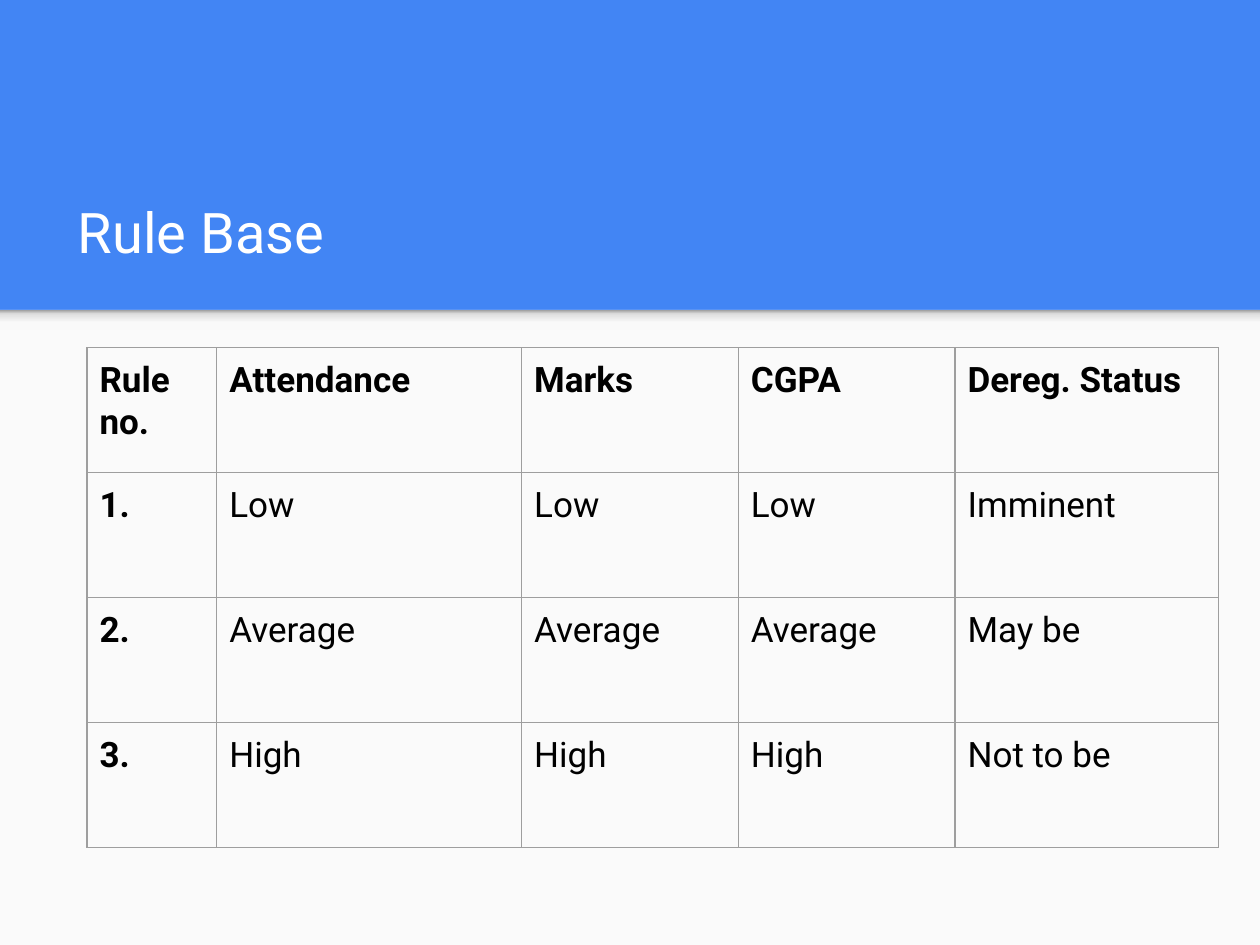
from lxml import etree
from pptx import Presentation, util as u
from pptx.dml.color import RGBColor
from pptx.enum import shapes, text
from pptx.oxml import ns

BLUE = RGBColor(0x42, 0x85, 0xF4)
PAPER = RGBColor(0xFA, 0xFA, 0xFA)
WHITE = RGBColor(0xFF, 0xFF, 0xFF)
BLACK = RGBColor(0, 0, 0)
GRID = RGBColor(0x9E, 0x9E, 0x9E)
SHADE = [
    (0, RGBColor(0x99, 0x99, 0x99)),
    (20, RGBColor(0xDE, 0xDE, 0xDE)),
    (64, RGBColor(0xF9, 0xF9, 0xF9)),
    (100, RGBColor(0xF9, 0xF9, 0xF9)),
]

COLUMNS, ROWS = 100, 75
BAND_EDGE = 24.6
RULE_WIDTHS = [10.3, 24.2, 17.2, 17.2, 20.9]
RULE_HEIGHT = 9.92
RULES = [
    ["Rule no.", "Attendance", "Marks", "CGPA", "Dereg. Status"],
    ["1.", "Low", "Low", "Low", "Imminent"],
    ["2.", "Average", "Average", "Average", "May be"],
    ["3.", "High", "High", "High", "Not to be"],
]


def add_element(parent, tag, **attributes):
    return etree.SubElement(parent, ns.qn(tag), **attributes)


class RuleSlide:
    font = "Roboto"
    inset = u.Inches(0.1)

    def __init__(self, deck):
        self.unit_x = deck.slide_width / COLUMNS
        self.unit_y = deck.slide_height / ROWS
        self.slide = deck.slides.add_slide(deck.slide_layouts[6])
        backdrop = self.slide.background.fill
        backdrop.solid()
        backdrop.fore_color.rgb = BLUE

    def box(self, column, row, width, height):
        return (round(column * self.unit_x), round(row * self.unit_y),
                round(width * self.unit_x), round(height * self.unit_y))

    def panel(self, *area):
        panel = self.slide.shapes.add_shape(shapes.MSO_SHAPE.RECTANGLE, *self.box(*area))
        panel.shadow.inherit = False
        panel.line.fill.background()
        panel.fill.solid()
        panel.fill.fore_color.rgb = PAPER
        return panel

    def shade(self, *area):
        edge = self.panel(*area)
        edge.fill.gradient()
        edge.fill.gradient_angle = 270
        stops = edge.element.spPr.find(".//" + ns.qn("a:gsLst"))
        stops.clear()
        for position, color in SHADE:
            stop = add_element(stops, "a:gs", pos=str(position * 1000))
            add_element(stop, "a:srgbClr", val=str(color))

    def style(self, paragraph, size, color, bold=False):
        paragraph.font.name = self.font
        paragraph.font.size = u.Pt(size)
        paragraph.font.bold = bold
        paragraph.font.color.rgb = color

    def pad(self, holder):
        holder.margin_left = holder.margin_right = self.inset
        holder.margin_top = holder.margin_bottom = self.inset

    def title(self, wording, *area):
        frame = self.slide.shapes.add_textbox(*self.box(*area)).text_frame
        frame.word_wrap = True
        frame.vertical_anchor = text.MSO_ANCHOR.BOTTOM
        self.pad(frame)
        frame.text = wording
        self.style(frame.paragraphs[0], 32, WHITE)

    def outline(self, cell):
        properties = cell._tc.get_or_add_tcPr()
        for side in ("a:lnL", "a:lnR", "a:lnT", "a:lnB"):
            line = add_element(properties, side, w=str(u.Pt(0.75)))
            add_element(add_element(line, "a:solidFill"), "a:srgbClr", val=str(GRID))

    def table(self, entries, column, row, widths, height):
        area = self.box(column, row, sum(widths), height * len(entries))
        table = self.slide.shapes.add_table(len(entries), len(widths), *area).table
        table.first_row = table.horz_banding = False
        for table_column, width in zip(table.columns, widths):
            table_column.width = round(width * self.unit_x)
        for r, record in enumerate(entries):
            table.rows[r].height = round(height * self.unit_y)
            for c, entry in enumerate(record):
                cell = table.cell(r, c)
                self.outline(cell)
                cell.fill.background()
                self.pad(cell)
                cell.text = entry
                self.style(cell.text_frame.paragraphs[0], 20, BLACK, bold=r == 0 or c == 0)


def main():
    deck = Presentation()
    deck.slide_width, deck.slide_height = u.Inches(10), u.Inches(7.5)
    page = RuleSlide(deck)
    page.panel(0, BAND_EDGE, COLUMNS, ROWS - BAND_EDGE)
    page.shade(0, BAND_EDGE, COLUMNS, 1.6)
    page.title("Rule Base", 5.2, 10.8, 89.9, 11.2)
    page.table(RULES, 6.9, 27.6, RULE_WIDTHS, RULE_HEIGHT)
    deck.save("out.pptx")


if __name__ == "__main__":
    main()
